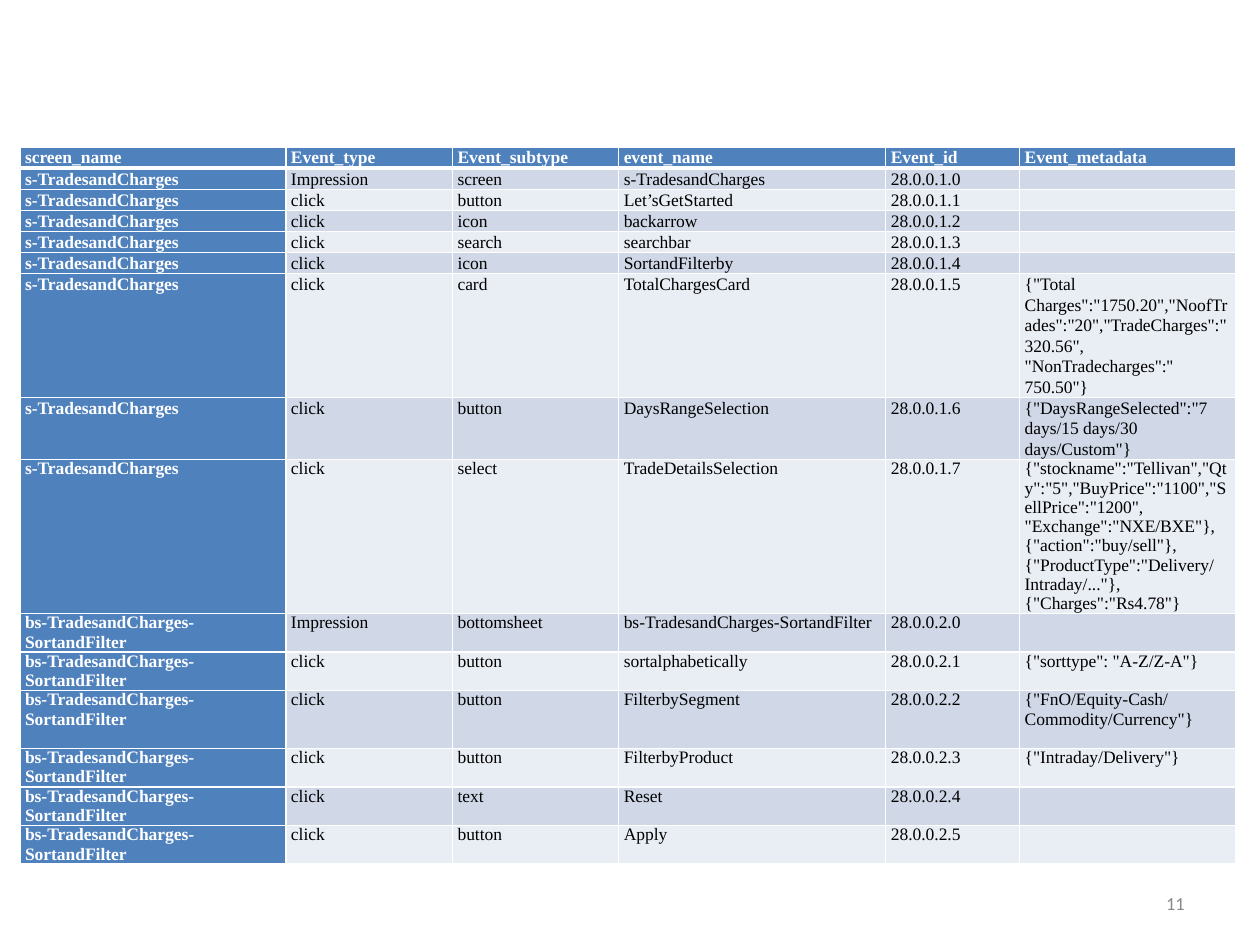
from lxml.etree import SubElement
from pptx import Presentation
from pptx.dml.color import RGBColor
from pptx.enum.text import MSO_ANCHOR, PP_ALIGN
from pptx.oxml.ns import qn
from pptx.util import Pt

BLUE, WHITE, BLACK, GREY = "4F81BD", "FFFFFF", "000000", "888888"
BANDS = ("D0D8E8", "E9EDF4")
COLUMN_WIDTHS = (152, 95.2, 95, 152.6, 76.5, 123.8)
HEADINGS = ("screen_name", "Event_type", "Event_subtype", "event_name",
            "Event_id", "Event_metadata")
LOOSE_LINE, TIGHT_LINE = 11.8, 11

CHARGES = ('{"Total Charges":"1750.20","NoofTrades":"20","TradeCharges":"320.56",\n'
           '"NonTradecharges":\'\' 750.50"}')
TRADE = ('{"stockname":"Tellivan","Qty":"5","BuyPrice":"1100","SellPrice":"1200",\n'
         '"Exchange":"NXE/BXE"},{"action":"buy/sell"},'
         '{"ProductType":"Delivery/Intraday/..."},\n{"Charges":"Rs4.78"}')

# Each screen: name, id prefix, line height,
# events of (lines of height, type, subtype, name, metadata)
SCREENS = (
    ("s-TradesandCharges", "28.0.0.1", LOOSE_LINE, (
        (1, "Impression", "screen", "s-TradesandCharges", ""),
        (1, "click", "button", "Let’sGetStarted", ""),
        (1, "click", "icon", "backarrow", ""),
        (1, "click", "search", "searchbar", ""),
        (1, "click", "icon", "SortandFilterby", ""),
        (6, "click", "card", "TotalChargesCard", CHARGES),
        (3, "click", "button", "DaysRangeSelection",
         '{"DaysRangeSelected":"7 days/15 days/30 days/Custom"}'),
        (7.45, "click", "select", "TradeDetailsSelection", TRADE),
    )),
    ("bs-TradesandCharges-SortandFilter", "28.0.0.2", TIGHT_LINE, (
        (2, "Impression", "bottomsheet", "bs-TradesandCharges-SortandFilter", ""),
        (2, "click", "button", "sortalphabetically", '{"sorttype": "A-Z/Z-A"}'),
        (3, "click", "button", "FilterbySegment",
         '{"FnO/Equity-Cash/Commodity/Currency"}'),
        (2, "click", "button", "FilterbyProduct", '{"Intraday/Delivery"}'),
        (2, "click", "text", "Reset", ""),
        (2, "click", "button", "Apply", ""),
    )),
)


def rgb(value):
    return RGBColor.from_string(value)


def write(frame, text, size=10, font="Times New Roman", color=BLACK, bold=False,
          align=PP_ALIGN.LEFT, line_height=None):
    """Fill the frame with one paragraph; breaks and empty lines keep its size."""
    paragraph = frame.paragraphs[0]
    paragraph.text = text
    paragraph.alignment = align
    if line_height:
        paragraph.line_spacing = Pt(line_height)
    for run in paragraph.runs:
        run.font.size, run.font.name, run.font.bold = Pt(size), font, bold
        run.font.color.rgb = rgb(color)
    unseen = [SubElement(br, qn("a:rPr")) for br in paragraph._p.iter(qn("a:br"))]
    if not text:
        unseen.append(SubElement(paragraph._p, qn("a:endParaRPr")))
    for properties in unseen:
        properties.set("sz", str(int(size * 100)))
        SubElement(properties, qn("a:latin"), typeface=font)


def set_borders(cell, top=1, bottom=1):
    """Draw white cell borders; call before the fill is set."""
    for side, width in (("L", 1), ("R", 1), ("T", top), ("B", bottom)):
        line = SubElement(cell._tc.get_or_add_tcPr(), qn(f"a:ln{side}"), w=str(Pt(width)))
        SubElement(SubElement(line, qn("a:solidFill")), qn("a:srgbClr"), val=WHITE)


def event_rows():
    """Yield the height, line height and cell texts of each row, heading first."""
    yield LOOSE_LINE, TIGHT_LINE, HEADINGS
    for screen, prefix, line_height, events in SCREENS:
        for number, (lines, kind, subtype, name, metadata) in enumerate(events):
            # The trade details are set tight although they belong to the first screen
            spacing = TIGHT_LINE if metadata == TRADE else line_height
            yield (lines * line_height, spacing,
                   (screen, kind, subtype, name, f"{prefix}.{number}", metadata))


def add_event_table(slide):
    rows = list(event_rows())
    table = slide.shapes.add_table(
        len(rows), len(HEADINGS), Pt(11.3), Pt(84.3), Pt(sum(COLUMN_WIDTHS)),
        Pt(sum(height for height, _, _ in rows))).table
    table.first_col = True
    for column, width in zip(table.columns, COLUMN_WIDTHS):
        column.width = Pt(width)
    for r, (height, line_height, texts) in enumerate(rows):
        table.rows[r].height = Pt(height)
        for c, text in enumerate(texts):
            cell = table.cell(r, c)
            heading = r == 0 or c == 0
            cell.margin_left = cell.margin_right = Pt(3)
            cell.margin_top = cell.margin_bottom = 0
            set_borders(cell, top=3 if r == 1 else 1, bottom=3 if r == 0 else 1)
            cell.fill.solid()
            cell.fill.fore_color.rgb = rgb(BLUE if heading else BANDS[(r - 1) % 2])
            write(cell.text_frame, text, color=WHITE if heading else BLACK,
                  bold=heading, line_height=line_height)


def add_page_number(slide, number):
    frame = slide.shapes.add_textbox(Pt(516), Pt(501.5), Pt(168), Pt(28.8)).text_frame
    frame.word_wrap = True
    frame.vertical_anchor = MSO_ANCHOR.MIDDLE
    write(frame, number, size=10.5, font="Calibri", color=GREY, align=PP_ALIGN.RIGHT)


def main():
    deck = Presentation()
    deck.slide_width, deck.slide_height = Pt(720), Pt(540)
    slide = deck.slides.add_slide(deck.slide_layouts[6])
    add_page_number(slide, "11")
    add_event_table(slide)
    deck.save("out.pptx")


if __name__ == "__main__":
    main()
